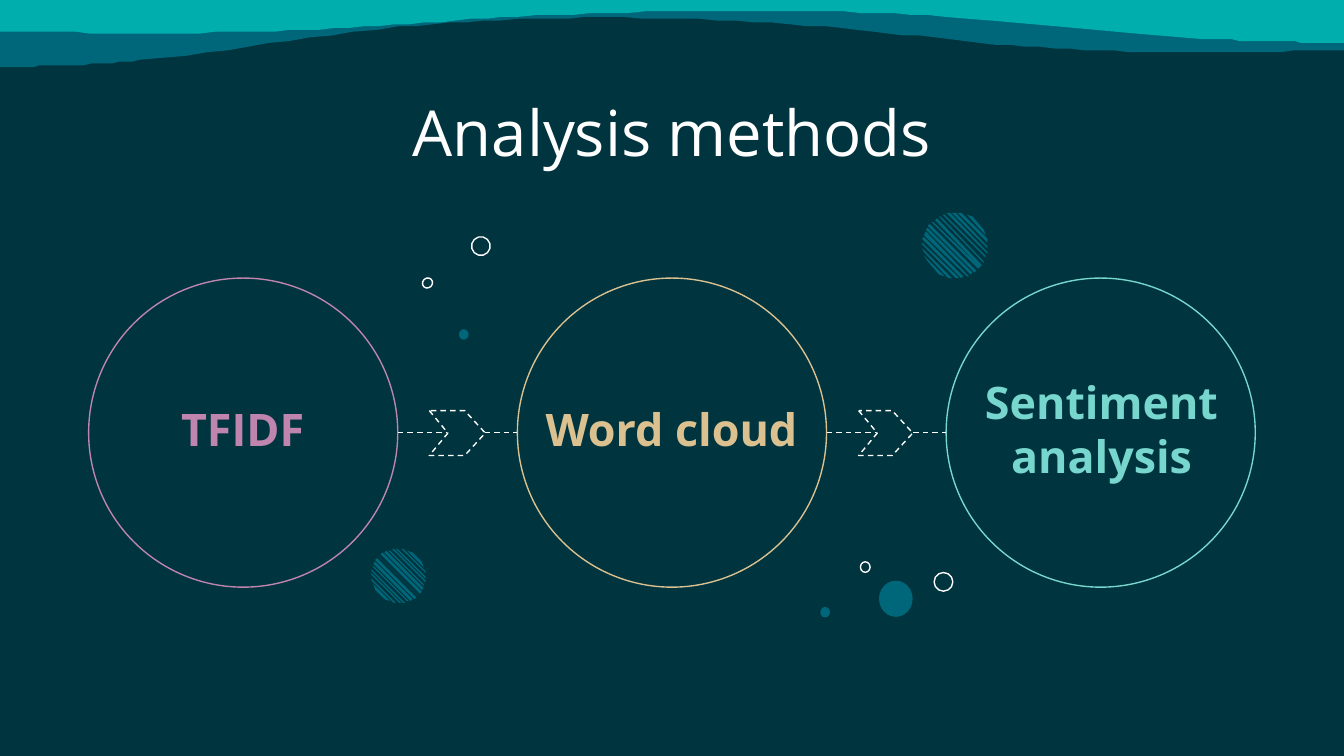
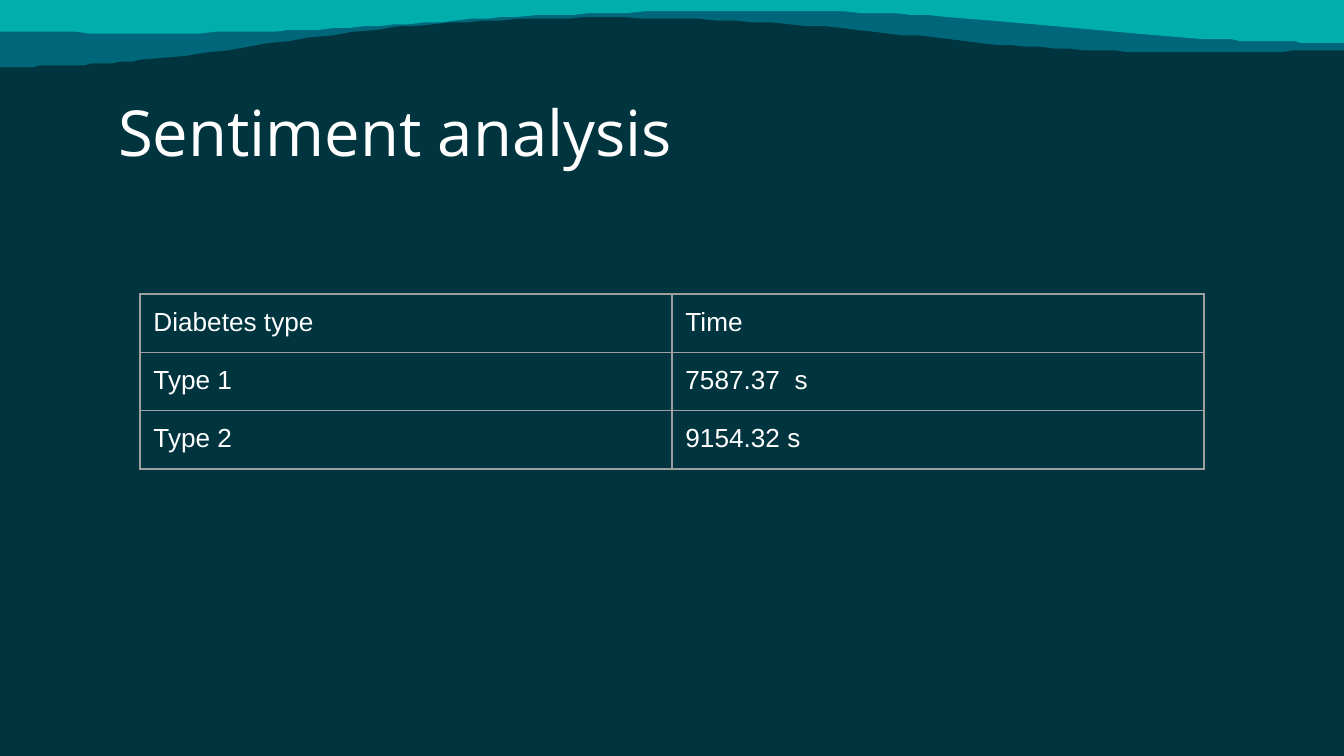
from math import sqrt

from lxml.etree import SubElement
from pptx import Presentation
from pptx.dml.color import RGBColor
from pptx.enum.dml import MSO_LINE_DASH_STYLE as Dash
from pptx.enum.shapes import MSO_CONNECTOR as Connector, MSO_SHAPE as Shape
from pptx.enum.text import MSO_ANCHOR as Anchor, PP_ALIGN as Align
from pptx.oxml.ns import qn
from pptx.util import Pt

# Shared look
WIDTH, HEIGHT = 720, 405
NIGHT, BLUE, TEAL, WHITE = "00343E", "00677B", "00AFAD", "FFFFFF"
PINK, SAND, MINT, GREY = "BF85AE", "DCC190", "77D6CD", "9E9E9E"
HEADING_FONT, TABLE_FONT = "Open Sans", "Arial"
INSET = 7.2

# Lower edge of the wave: a start, then two control points and an end per curve
WAVE_TOP = -1.44
WAVE_START = (0, 36)
WAVE_CURVES = [
    ((11, 36), (21, 35.3), (31, 35.3)),
    ((45, 34.6), (60, 33.8), (75, 32.4)),
    ((125, 27.4), (163, 19.4), (214, 14.4)),
    ((250, 10.8), (287, 9.4), (323, 9.4)),
    ((365, 9.4), (404, 11.5), (442, 14.4)),
    ((477, 17.3), (509, 21.6), (541, 24.5)),
    ((572, 26.6), (605, 28.1), (638, 28.1)),
    ((665, 28.1), (693, 27.4), (720, 26.6)),
]

# Steps of the method
CIRCLE_LEFT, CIRCLE_TOP, CIRCLE_SIZE, CIRCLE_STEP = 47.5, 149, 165.6, 229.7
STEPS = [  # text, colour, label left, top, width
    ("TFIDF", PINK, 61.2, 208.1, 137.5),
    ("Word cloud", SAND, 283, 208.1, 153.4),
    ("Sentiment analysis", MINT, 513.4, 193.7, 153.4),
]
CHEVRON = [(0, 0), (10, 12.3), (0, 24.6), (18.4, 24.6), (29.4, 12.3), (18.4, 0)]

# Bubbles: left, top, width, height, turn
SOLID_BUBBLES = [
    (470.2, 311.8, 19.4, 18, 90),
    (439.2, 325.4, 5.6, 5.2, 90),
    (245.6, 176.6, 5.6, 5.2, 90),
]
HOLLOW_BUBBLES = [
    (500.4, 306.7, 10, 10, 90),
    (460.7, 301.2, 5.6, 5.2, 90),
    (252.6, 126.8, 10, 10, 135),
    (226.2, 149, 5.6, 5.2, 135),
]
HATCHED_BUBBLES = [(511.8, 131.4, 17.6), (213.5, 308.5, 14.8)]  # centre, radius
STRIPES = 15

TIMES = [("Diabetes type", "Time"), ("Type 1", "7587.37  s"), ("Type 2", "9154.32 s")]


def colour(code):
    return RGBColor.from_string(code)


def paint(shape, fill=None, line=None, dash=None):
    shape.shadow.inherit = False
    if fill:
        shape.fill.solid()
        shape.fill.fore_color.rgb = colour(fill)
    else:
        shape.fill.background()
    if line:
        draw_line(shape.line, line, dash)
    else:
        shape.line.fill.background()


def draw_line(line, code, dash=None):
    line.color.rgb = colour(code)
    line.width = Pt(0.75)
    if dash:
        line.dash_style = dash


def add_outline(page, contours, **look):
    """Closed contours, given as lists of points, in one freeform."""
    first, *others = contours
    builder = page.shapes.build_freeform(*first[0], scale=Pt(1))
    builder.add_line_segments(first[1:], close=True)
    for contour in others:
        builder.move_to(*contour[0])
        builder.add_line_segments(contour[1:], close=True)
    paint(builder.convert_to_shape(), **look)


def add_ellipse(page, left, top, width, height, turn=0, **look):
    ellipse = page.shapes.add_shape(
        Shape.OVAL, Pt(left), Pt(top), Pt(width), Pt(height))
    ellipse.rotation = turn
    paint(ellipse, **look)


def add_hatched_circle(page, x, y, radius):
    """Diagonal stripes cut to a circle."""
    pitch = 2 * radius / STRIPES
    contours = []
    for number in range(STRIPES):
        middle = (number - (STRIPES - 1) / 2) * pitch
        stripe = []
        for offset, ends in ((middle - pitch / 4, (-1, 1)), (middle + pitch / 4, (1, -1))):
            half = sqrt(radius ** 2 - offset ** 2)
            stripe += [(x + (end * half - offset) / sqrt(2),
                        y + (end * half + offset) / sqrt(2)) for end in ends]
        contours.append(stripe)
    add_outline(page, contours, fill=BLUE)


def add_dashed_link(page, start, end, y):
    link = page.shapes.add_connector(
        Connector.STRAIGHT, Pt(start), Pt(y), Pt(end), Pt(y))
    draw_line(link.line, WHITE, Dash.DASH)
    SubElement(link._element.spPr, qn("a:effectLst"))


def add_span(para, text, font, size, code, bold=False):
    span = para.add_run()
    span.text = text
    span.font.name, span.font.size, span.font.bold = font, Pt(size), bold
    span.font.color.rgb = colour(code)


def add_text(page, text, left, top, width, height, size, code, bold=False, align=Align.CENTER):
    box = page.shapes.add_textbox(Pt(left), Pt(top), Pt(width), Pt(height))
    frame = box.text_frame
    frame.word_wrap = True
    frame.vertical_anchor = Anchor.TOP
    frame.margin_left = frame.margin_right = Pt(INSET)
    frame.margin_top = frame.margin_bottom = Pt(INSET)
    para = frame.paragraphs[0]
    para.alignment = align
    add_span(para, text, HEADING_FONT, size, code, bold)


def add_border(cell):
    properties = cell._tc.get_or_add_tcPr()
    for position, side in enumerate(("a:lnL", "a:lnR", "a:lnT", "a:lnB")):
        edge = properties.makeelement(qn(side), {"w": str(Pt(0.75))})
        fill = SubElement(edge, qn("a:solidFill"))
        SubElement(fill, qn("a:srgbClr"), val=GREY)
        properties.insert(position, edge)


def add_grid(page, rows, left, top, column_width, row_height):
    columns = len(rows[0])
    table = page.shapes.add_table(
        len(rows), columns, Pt(left), Pt(top),
        Pt(column_width * columns), Pt(row_height * len(rows))).table
    table.first_row = table.horz_banding = False
    for column in table.columns:
        column.width = Pt(column_width)
    for row, texts in zip(table.rows, rows):
        row.height = Pt(row_height)
        for cell, text in zip(row.cells, texts):
            cell.fill.background()
            cell.margin_left = cell.margin_right = Pt(INSET)
            cell.margin_top = cell.margin_bottom = Pt(INSET)
            add_border(cell)
            add_span(cell.text_frame.paragraphs[0], text, TABLE_FONT, 14, WHITE)


def wave_edge(samples=12):
    points, start = [WAVE_START], WAVE_START
    for curve in WAVE_CURVES:
        for step in range(1, samples + 1):
            t = step / samples
            weights = ((1 - t) ** 3, 3 * t * (1 - t) ** 2, 3 * t * t * (1 - t), t ** 3)
            points.append(tuple(
                sum(weight * value for weight, value in zip(weights, values))
                for values in zip(start, *curve)))
        start = curve[-1]
    return points


def add_page(deck, title, align):
    page = deck.slides.add_slide(deck.slide_layouts[6])
    page.background.fill.solid()
    page.background.fill.fore_color.rgb = colour(NIGHT)
    # The front wave is the back wave, mirrored and flattened
    back = wave_edge()
    front = [(WIDTH - x, WAVE_TOP + (y - WAVE_TOP) * 0.65) for x, y in back]
    for edge, code in ((back, BLUE), (front, TEAL)):
        corners = [(edge[-1][0], WAVE_TOP), (edge[0][0], WAVE_TOP)]
        add_outline(page, [edge + corners], fill=code)
    add_text(page, title, 56.2, 42.5, 607.7, 48.2, 34, WHITE, align=align)
    return page


def add_methods(deck):
    page = add_page(deck, "Analysis methods", Align.CENTER)
    middle = CIRCLE_TOP + CIRCLE_SIZE / 2
    lefts = [CIRCLE_LEFT + CIRCLE_STEP * number for number in range(len(STEPS))]
    # Circles, links and labels
    for left, (_, code, *_) in zip(lefts, STEPS):
        add_ellipse(page, left, CIRCLE_TOP, CIRCLE_SIZE, CIRCLE_SIZE, line=code)
    for left, following in zip(lefts, lefts[1:]):
        right = left + CIRCLE_SIZE
        add_dashed_link(page, right, following, middle)
        chevron = [(right + 17.3 + x, middle - 12.3 + y) for x, y in CHEVRON]
        add_outline(page, [chevron], fill=NIGHT, line=WHITE, dash=Dash.DASH)
    for text, code, left, top, width in STEPS:
        add_text(page, text, left, top, width, 29.5, 24, code, bold=True)
    # Bubbles
    for bubble in SOLID_BUBBLES:
        add_ellipse(page, *bubble, fill=BLUE)
    for bubble in HOLLOW_BUBBLES:
        add_ellipse(page, *bubble, line=WHITE)
    for bubble in HATCHED_BUBBLES:
        add_hatched_circle(page, *bubble)


def add_times(deck):
    page = add_page(deck, "Sentiment analysis", Align.LEFT)
    add_grid(page, TIMES, 75, 157.5, 285, 30)


def main():
    deck = Presentation()
    deck.slide_width, deck.slide_height = Pt(WIDTH), Pt(HEIGHT)
    add_methods(deck)
    add_times(deck)
    deck.save("out.pptx")


if __name__ == "__main__":
    main()
